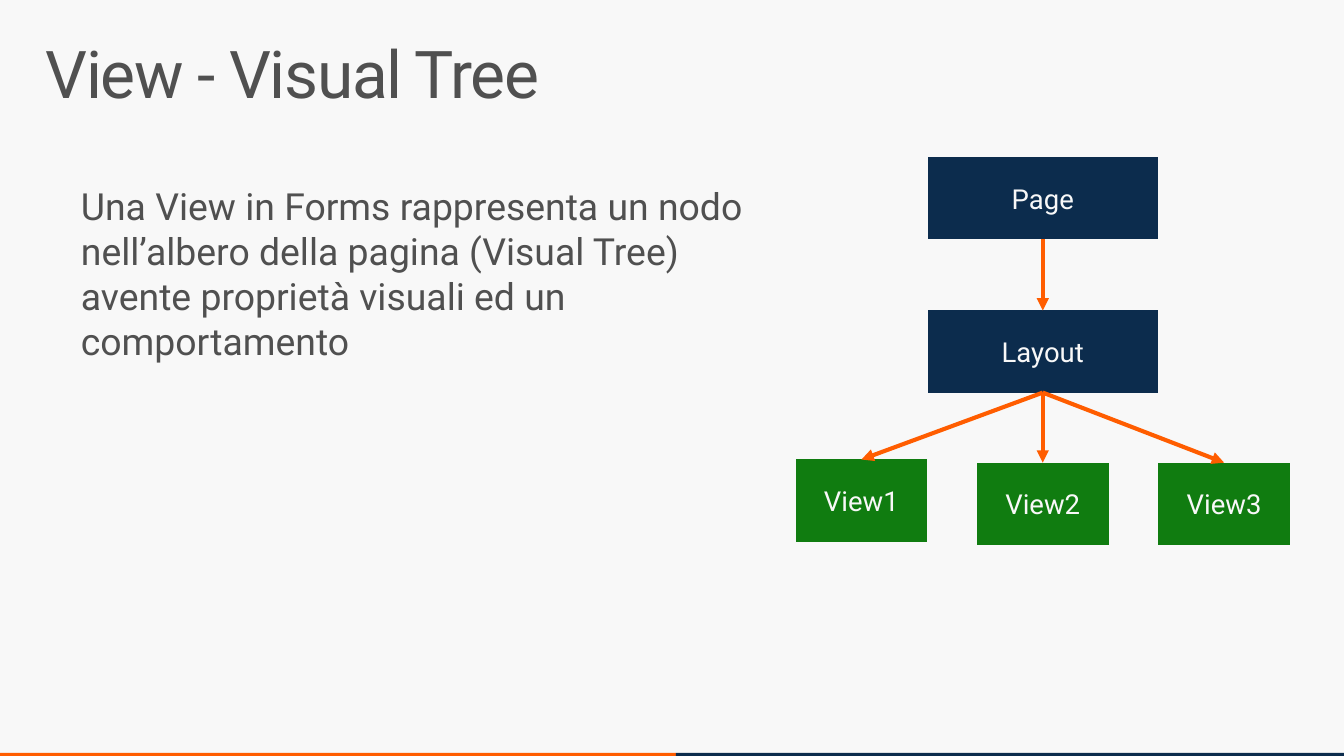
from lxml.etree import SubElement
from pptx import Presentation
from pptx.dml.color import RGBColor
from pptx.enum.shapes import MSO_CONNECTOR, MSO_SHAPE
from pptx.enum.text import MSO_ANCHOR, PP_ALIGN
from pptx.oxml.ns import qn
from pptx.util import Cm, Pt

WIDTH, HEIGHT = 34.54, 19.43
NAVY, ORANGE, GREEN = "0C2C4D", "FF5D00", "107C10"
GREY, LIGHT = "505050", "F8F8F8"
TOP, BOTTOM = 0, 2


def color(value):
    return RGBColor.from_string(value)


def place(shape, left, top, width, height):
    shape.left, shape.top = Cm(left), Cm(top)
    shape.width, shape.height = Cm(width), Cm(height)


def write(shape, text, size, ink=GREY, align=PP_ALIGN.LEFT, anchor=MSO_ANCHOR.TOP,
          inset=(0, 0), line_spacing=1.0, tracking=None):
    frame = shape.text_frame
    frame.word_wrap = True
    frame.vertical_anchor = anchor
    frame.margin_left = frame.margin_right = Cm(inset[0])
    frame.margin_top = frame.margin_bottom = Cm(inset[1])
    paragraph = frame.paragraphs[0]
    paragraph.alignment = align
    paragraph.line_spacing = line_spacing
    run = paragraph.add_run()
    run.text = text
    run.font.name, run.font.size = "Roboto", Pt(size)
    run.font.color.rgb = color(ink)
    if tracking is not None:
        run.font._element.set("spc", str(tracking))


def block(slide, kind, left, top, width, height, fill):
    shape = slide.shapes.add_shape(kind, Cm(left), Cm(top), Cm(width), Cm(height))
    shape.shadow.inherit = False
    shape.fill.solid()
    shape.fill.fore_color.rgb = color(fill)
    shape.line.fill.background()
    return shape


def node(slide, label, center, top, width, fill):
    shape = block(slide, MSO_SHAPE.FLOWCHART_PROCESS, center - width / 2, top, width, 2.11, fill)
    write(shape, label, 20, ink=LIGHT, align=PP_ALIGN.CENTER,
          anchor=MSO_ANCHOR.MIDDLE, inset=(0, 0.13))
    return shape


def arrow(slide, parent, child):
    link = slide.shapes.add_connector(MSO_CONNECTOR.STRAIGHT, 0, 0, 0, 0)
    link.begin_connect(parent, BOTTOM)
    link.end_connect(child, TOP)
    link.line.color.rgb = color(ORANGE)
    link.line.width = Pt(3)
    SubElement(link.line._get_or_add_ln(), qn("a:tailEnd"), type="triangle")
    SubElement(link._element.spPr, qn("a:effectLst"))


def footer_stripe(slide, left, top, width, height):
    half = width / 2
    for index, fill in enumerate((ORANGE, NAVY)):
        block(slide, MSO_SHAPE.RECTANGLE, left + index * half, top, half, height, fill)


def heading(slide, left, top, width, height):
    title = slide.shapes.title
    place(title, left, top, width, height)
    write(title, "View - Visual Tree", 48, inset=(0.41, 0.25), line_spacing=0.9, tracking=-100)


def description(slide, left, top, width, height):
    body = slide.shapes.add_textbox(Cm(left), Cm(top), Cm(width), Cm(height))
    write(body, "Una View in Forms rappresenta un nodo nell’albero della pagina "
                "(Visual Tree) avente proprietà visuali ed un comportamento", 27.2)


def visual_tree(slide, left, top, width):
    center = left + width / 2
    leaf_width = 3.38
    pitch = (width - leaf_width) / 2

    # Page and its layout
    page = node(slide, "Page", center, top, 5.92, NAVY)
    layout = node(slide, "Layout", center, top + 3.94, 5.92, NAVY)
    arrow(slide, page, layout)

    # Views under the layout; the first sits slightly higher
    for index, drop in enumerate((7.77, 7.85, 7.85)):
        view = node(slide, f"View{index + 1}", center + (index - 1) * pitch,
                    top + drop, leaf_width, GREEN)
        arrow(slide, layout, view)


def main():
    deck = Presentation()
    deck.slide_width, deck.slide_height = Cm(WIDTH), Cm(HEIGHT)
    slide = deck.slides.add_slide(deck.slide_layouts[5])
    slide.background.fill.solid()
    slide.background.fill.fore_color.rgb = color(LIGHT)

    footer_stripe(slide, 0, 19.35, WIDTH + 0.2, 0.13)
    heading(slide, 0.76, 0.81, 33.02, 2.54)
    description(slide, 2.08, 4.72, 18.16, 3.48)
    visual_tree(slide, 20.45, 4.04, 12.7)
    deck.save("out.pptx")


if __name__ == "__main__":
    main()
